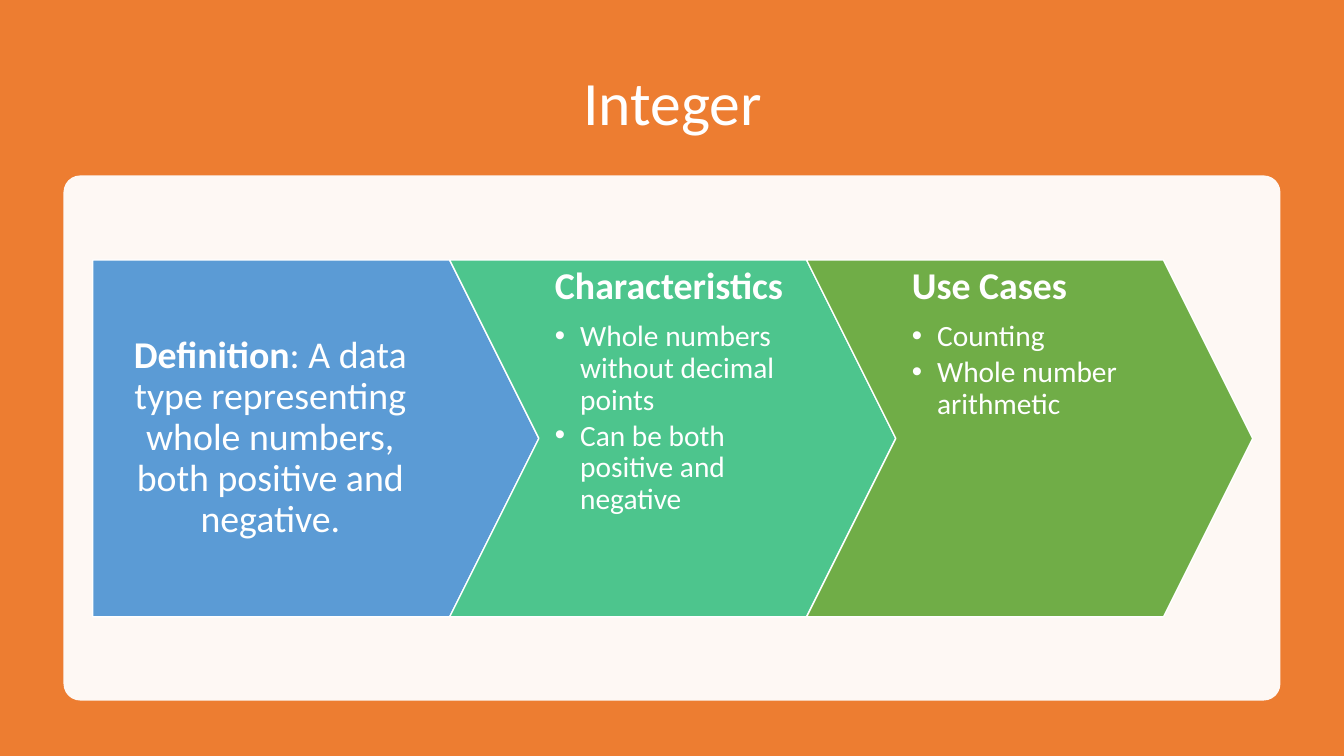
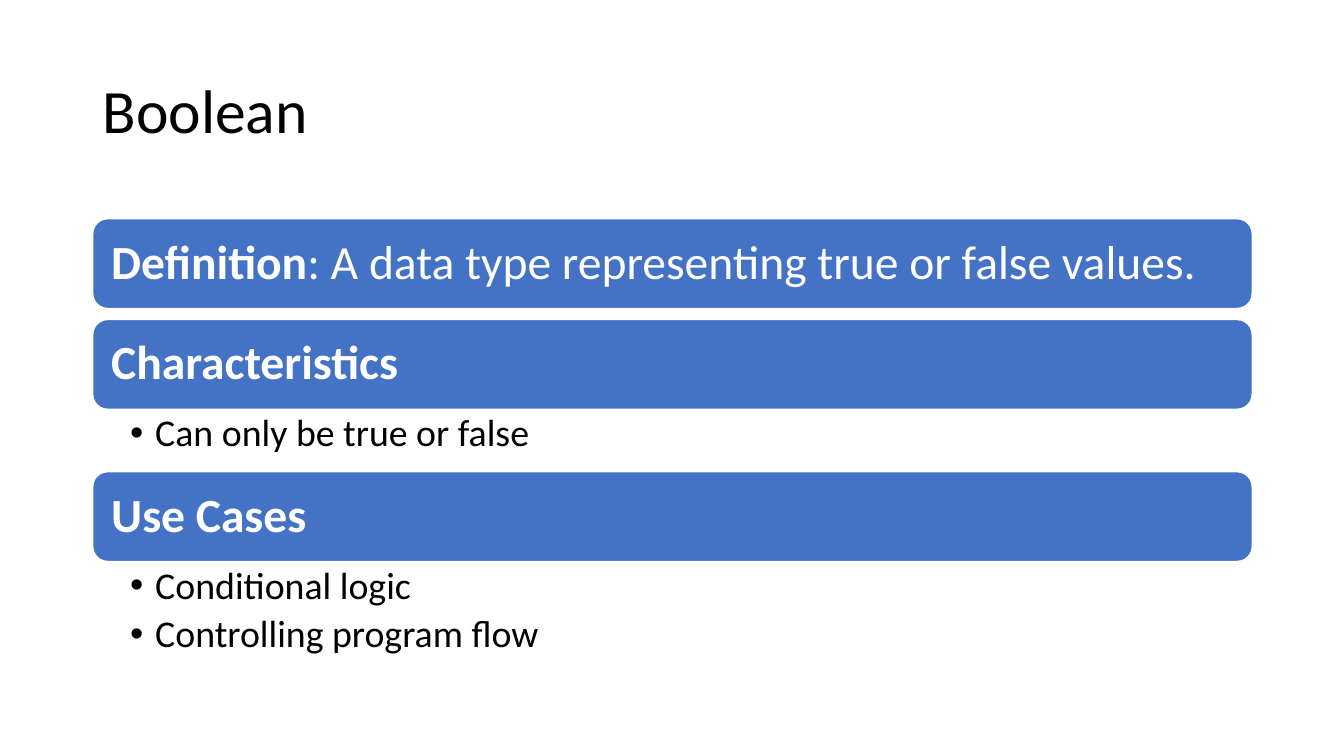
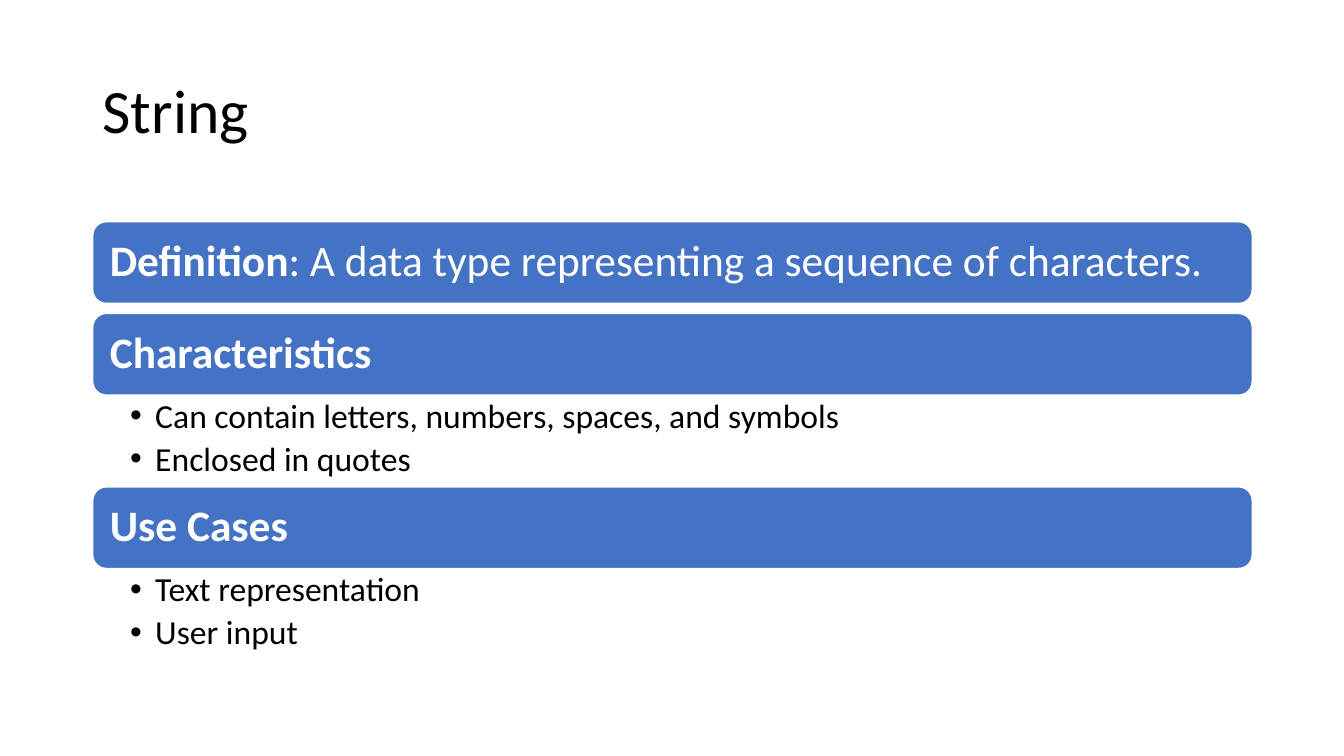
from lxml import etree
from pptx import Presentation, util as u
from pptx.dml.color import RGBColor
from pptx.enum import shapes, text
from pptx.oxml import ns

FONT = "Calibri"
WHITE = RGBColor(0xFF, 0xFF, 0xFF)
BLACK = RGBColor(0, 0, 0)
ORANGE = RGBColor(0xED, 0x7D, 0x31)
BLUE = RGBColor(0x44, 0x72, 0xC4)
SKY = RGBColor(0x5B, 0x9B, 0xD5)
MINT = RGBColor(0x4D, 0xC5, 0x8D)
GREEN = RGBColor(0x70, 0xAD, 0x47)

WIDTH, HEIGHT = 13.33, 7.5
MARGIN, CONTENT_WIDTH = 0.92, 11.5
LINE_SPACING, HANGING = 0.9, 0.25
SHAPE = shapes.MSO_SHAPE
MIDDLE, TOP = text.MSO_ANCHOR.MIDDLE, text.MSO_ANCHOR.TOP
LEFT, CENTER = text.PP_ALIGN.LEFT, text.PP_ALIGN.CENTER

# Content: each section is (bold heading, rest of the heading, bullets)
INTEGER = [
    ("Definition", ": A data type representing whole numbers, both positive and negative.", []),
    ("Characteristics", "", ["Whole numbers without decimal points",
                             "Can be both positive and negative"]),
    ("Use Cases", "", ["Counting", "Whole number arithmetic"]),
]
BOOLEAN = [
    ("Definition", ": A data type representing true or false values.", []),
    ("Characteristics", "", ["Can only be true or false"]),
    ("Use Cases", "", ["Conditional logic", "Controlling program flow"]),
]
STRING = [
    ("Definition", ": A data type representing a sequence of characters.", []),
    ("Characteristics", "", ["Can contain letters, numbers, spaces, and symbols",
                             "Enclosed in quotes"]),
    ("Use Cases", "", ["Text representation", "User input"]),
]

# Bar lists: lengths in inches, text sizes in points;
# list_heights gives the height of a list by its number of bullets
BAR_SLIDES = [
    ("Boolean", BOOLEAN, dict(top=2.17, bar=0.89, gap=0.11, heading=34, bullet=27, inset=0.14,
                              list_insets=(0.37, 0.05, 0.26, 0.05),
                              list_heights={1: 0.62, 2: 1.02})),
    ("String", STRING, dict(top=2.2, bar=0.81, gap=0.1, heading=31, bullet=24, inset=0.13,
                            list_insets=(0.37, 0.04, 0.24, 0.04),
                            list_heights={2: 0.91})),
]


def add_box(slide, kind, at, fill, line=None, adjustment=None):
    shape = slide.shapes.add_shape(kind, *(u.Inches(length) for length in at))
    shape.shadow.inherit = False
    shape.fill.solid()
    shape.fill.fore_color.rgb = fill
    if line is None:
        shape.line.fill.background()
    else:
        shape.line.color.rgb = line
        shape.line.width = u.Pt(1)
    if adjustment is not None:
        shape.adjustments[0] = adjustment
    return shape


def set_frame(shape, insets, anchor):
    frame = shape.text_frame
    frame.word_wrap = True
    frame.vertical_anchor = anchor
    (frame.margin_left, frame.margin_top,
     frame.margin_right, frame.margin_bottom) = (u.Inches(inset) for inset in insets)
    return frame


def add_text_box(slide, at, insets, anchor):
    box = slide.shapes.add_textbox(*(u.Inches(length) for length in at))
    return set_frame(box, insets, anchor)


def write(paragraph, parts, size, color, after=0, align=LEFT):
    """Fill a paragraph with (text, bold) parts; after is a share of the size."""
    paragraph.alignment = align
    paragraph.line_spacing = LINE_SPACING
    paragraph.space_after = u.Pt(round(size * after, 1))
    for words, bold in parts:
        if words:
            run = paragraph.add_run()
            run.text = words
            run.font.name = FONT
            run.font.size = u.Pt(size)
            run.font.bold = bold
            run.font.color.rgb = color


def write_heading(frame, heading, rest, size, align=LEFT):
    write(frame.paragraphs[0], [(heading, True), (rest, False)], size, WHITE, 0.35, align)


def write_bullet(paragraph, words, size, color, after):
    write(paragraph, [(words, False)], size, color, after)
    properties = paragraph._p.get_or_add_pPr()
    properties.set("marL", str(u.Inches(HANGING)))
    properties.set("indent", str(-u.Inches(HANGING)))
    etree.SubElement(properties, ns.qn("a:buFont")).set("typeface", "Arial")
    etree.SubElement(properties, ns.qn("a:buChar")).set("char", "•")


def add_title(slide, title, top, height, color, align=LEFT):
    frame = add_text_box(slide, (MARGIN, top, CONTENT_WIDTH, height),
                         (0.1, 0.05, 0.1, 0.05), MIDDLE)
    write(frame.paragraphs[0], [(title, False)], 44, color, align=align)


def build_arrows(slide, title, sections):
    # Orange ground, title and translucent panel
    add_box(slide, SHAPE.RECTANGLE, (0, 0, WIDTH, HEIGHT), ORANGE)
    add_title(slide, title, 0.5, 1.1, WHITE, CENTER)
    panel = add_box(slide, SHAPE.ROUNDED_RECTANGLE, (0.63, 1.74, 12.07, 5.21), WHITE,
                    adjustment=0.032)
    color = panel.fill._xPr.find(".//" + ns.qn("a:srgbClr"))
    etree.SubElement(color, ns.qn("a:alpha")).set("val", "95000")

    # Interlocking arrows: the point is a quarter of the height
    height, point = 3.54, 0.25
    step = height
    width = step + height * point
    for index, ((heading, rest, bullets), fill) in enumerate(zip(sections, (SKY, MINT, GREEN))):
        first = index == 0
        arrow = add_box(slide, SHAPE.PENTAGON if first else SHAPE.CHEVRON,
                        (MARGIN + index * step, 2.58, width, height), fill, WHITE, point)
        frame = set_frame(arrow, (0.16, 0.07, 0.62 if first else 0.16, 0.07),
                          MIDDLE if first else TOP)
        write_heading(frame, heading, rest, 27, CENTER if first else LEFT)
        for bullet in bullets:
            write_bullet(frame.add_paragraph(), bullet, 21, WHITE, 0.15)


def build_bars(slide, title, sections, style):
    add_title(slide, title, 0.4, 1.45, BLACK)
    top = style["top"]
    for heading, rest, bullets in sections:
        bar = add_box(slide, SHAPE.ROUNDED_RECTANGLE,
                      (MARGIN, top, CONTENT_WIDTH, style["bar"]), BLUE, WHITE)
        frame = set_frame(bar, [style["inset"]] * 4, MIDDLE)
        write_heading(frame, heading, rest, style["heading"])
        top += style["bar"]
        if not bullets:
            top += style["gap"]
            continue
        height = style["list_heights"][len(bullets)]
        frame = add_text_box(slide, (MARGIN, top, CONTENT_WIDTH, height),
                             style["list_insets"], TOP)
        for index, bullet in enumerate(bullets):
            paragraph = frame.add_paragraph() if index else frame.paragraphs[0]
            write_bullet(paragraph, bullet, style["bullet"], BLACK, 0.2)
        top += height


def main():
    presentation = Presentation()
    presentation.slide_width = u.Inches(WIDTH)
    presentation.slide_height = u.Inches(HEIGHT)
    blank = presentation.slide_layouts[6]
    build_arrows(presentation.slides.add_slide(blank), "Integer", INTEGER)
    for title, sections, style in BAR_SLIDES:
        build_bars(presentation.slides.add_slide(blank), title, sections, style)
    presentation.save("out.pptx")


if __name__ == "__main__":
    main()
